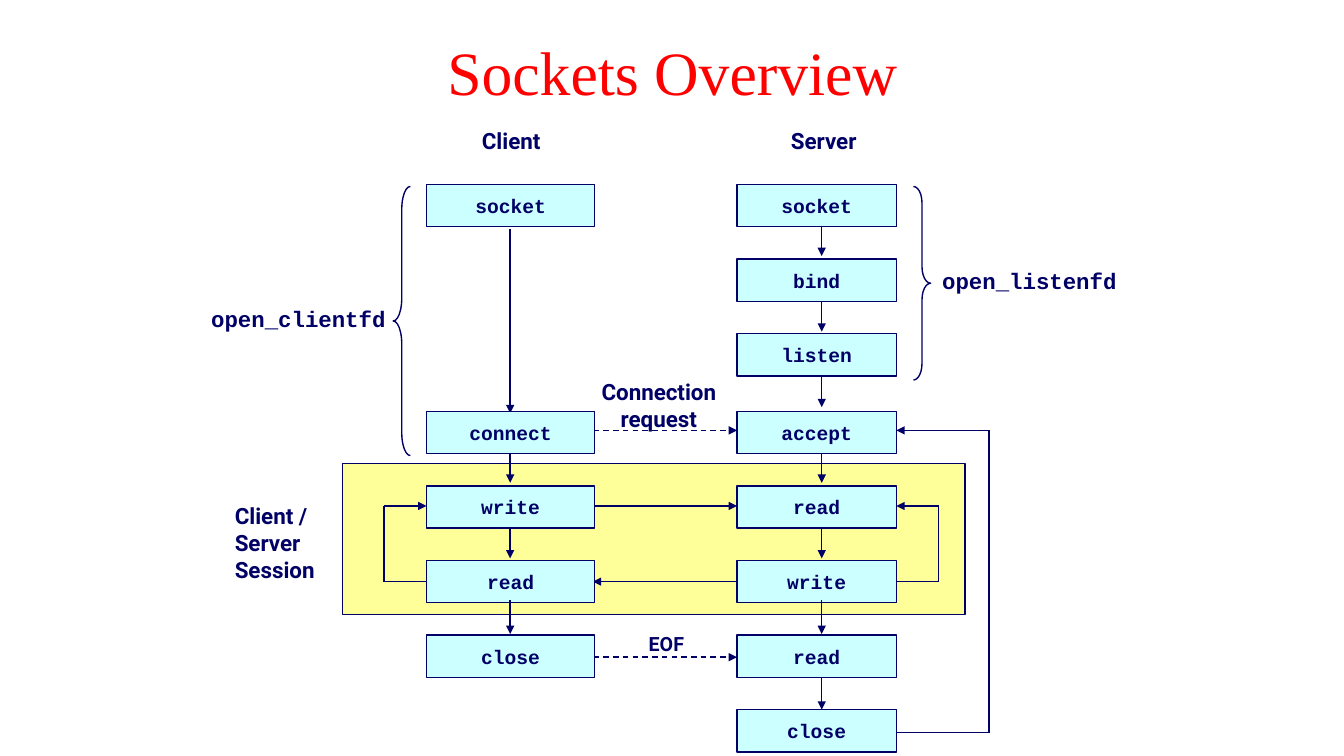
from dataclasses import dataclass

from lxml import etree
from pptx import Presentation
from pptx import util as u
from pptx.dml.color import RGBColor
from pptx.enum import dml, shapes, text
from pptx.oxml.ns import qn

NAVY, CYAN, YELLOW, RED = "000066", "CCFFFF", "FFFF99", "FF0000"
MONO, SANS, SERIF = "Courier New", "Roboto", "Times New Roman"
CLIENT_X, SERVER_X = 5.06, 8.15  # arrow columns
ROW_TOPS = [1.83 + 0.74 * i + (0.03 if i > 2 else 0) for i in range(8)]


@dataclass
class Call:
    name: str
    row: int
    server: bool = False


@dataclass
class Label:
    lines: list[str]
    x: float
    y: float
    w: float
    h: float
    font: str = SANS
    size: int = 16
    centred: bool = True


@dataclass
class Link:
    x1: float
    y1: float
    x2: float
    y2: float
    arrow: bool = True
    dashed: bool = False


def colour(hex_value: str) -> RGBColor:
    return RGBColor.from_string(hex_value)


def write(tf, lines: list[str], *, font: str, size: int, color: str = NAVY,
          bold: bool = True, centred: bool = True, wrap: bool = False) -> None:
    tf.word_wrap = wrap
    tf.vertical_anchor = text.MSO_ANCHOR.MIDDLE
    for i, line in enumerate(lines):
        p = tf.paragraphs[0] if i == 0 else tf.add_paragraph()
        p.alignment = text.PP_ALIGN.CENTER if centred else text.PP_ALIGN.LEFT
        r = p.add_run()
        r.text = line
        r.font.name, r.font.size, r.font.bold = font, u.Pt(size), bold
        r.font.color.rgb = colour(color)


def add_shape(s, kind, x: float, y: float, w: float, h: float, fill: str | None = None):
    sp = s.shapes.add_shape(kind, *map(u.Inches, (x, y, w, h)))
    sp.shadow.inherit = False
    if fill:
        sp.fill.solid()
        sp.fill.fore_color.rgb = colour(fill)
    else:
        sp.fill.background()
    sp.line.color.rgb = colour(NAVY)
    sp.line.width = u.Pt(1)
    return sp


def add_call(s, call: Call) -> None:
    x, w = (7.31, 1.58) if call.server else (4.23, 1.67)
    sp = add_shape(s, shapes.MSO_SHAPE.RECTANGLE, x, ROW_TOPS[call.row], w, 0.42, CYAN)
    write(sp.text_frame, [call.name], font=MONO, size=14)


def add_label(s, label: Label) -> None:
    sp = s.shapes.add_textbox(*map(u.Inches, (label.x, label.y, label.w, label.h)))
    write(sp.text_frame, label.lines, font=label.font, size=label.size,
          centred=label.centred, wrap=not label.centred)


def add_link(s, link: Link) -> None:
    ends = map(u.Inches, (link.x1, link.y1, link.x2, link.y2))
    sp = s.shapes.add_connector(shapes.MSO_CONNECTOR.STRAIGHT, *ends)
    sp.line.color.rgb = colour(NAVY)
    sp.line.width = u.Pt(1)
    if link.dashed:
        sp.line.dash_style = dml.MSO_LINE.DASH
    if link.arrow:
        etree.SubElement(sp.line._get_or_add_ln(), qn("a:tailEnd"), type="triangle")
    etree.SubElement(sp._element.spPr, qn("a:effectLst"))


def step(x: float, i: int) -> Link:
    """Short downward arrow leaving row i."""
    y = 2.2 + 0.75 * i
    return Link(x, y, x, y + 0.34)


def loop(x_box: float, x_side: float, y_from: float, y_to: float) -> list[Link]:
    """Three-part path from one box side back up to another."""
    return [Link(x_box, y_from, x_side, y_from, arrow=False),
            Link(x_side, y_from, x_side, y_to, arrow=False),
            Link(x_side, y_to, x_box, y_to)]


LINKS = [
    *loop(8.89, 9.31, 5.77, 5.02),
    *loop(4.23, 3.81, 5.77, 5.02),
    *loop(8.89, 9.81, 7.27, 4.27),
    Link(CLIENT_X, 2.27, CLIENT_X, 4.1),
    *[step(CLIENT_X, i) for i in (3, 4)],
    *[step(SERVER_X, i) for i in (0, 1, 2, 3, 4, 6)],
    Link(5.9, 5.02, 7.31, 5.02),
    Link(7.34, 5.77, 5.88, 5.77),
    *[Link(5.31, y, 7.31, y, dashed=True) for y in (4.27, 6.52)],
]
SESSION_EXITS = [step(x, 5) for x in (CLIENT_X, SERVER_X)]
SERVER_CALLS = ["socket", "bind", "listen", "accept", "read", "write", "read", "close"]
CLIENT_CALLS = {0: "socket", 3: "connect", 4: "write", 5: "read", 6: "close"}
CALLS = [Call(name, row, server=True) for row, name in enumerate(SERVER_CALLS)]
CALLS += [Call(name, row) for row, name in CLIENT_CALLS.items()]
LABELS = [
    Label(["Client"], 4.66, 1.21, 0.82, 0.37),
    Label(["Server"], 7.72, 1.21, 0.9, 0.37),
    Label(["Client / Server", "Session"], 2.23, 4.93, 1.08, 0.91, centred=False),
    Label(["Connection", "request"], 5.82, 3.7, 1.43, 0.64),
    Label(["EOF"], 6.31, 6.22, 0.6, 0.34, size=14),
    Label(["open_listenfd"], 9.23, 2.6, 1.96, 0.37, font=MONO),
    Label(["open_clientfd"], 1.98, 2.98, 1.96, 0.37, font=MONO),
]


def main() -> None:
    prs = Presentation()
    prs.slide_width, prs.slide_height = u.Inches(13.33), u.Inches(7.5)
    s = prs.slides.add_slide(prs.slide_layouts[5])

    # Title
    title = s.shapes.title
    title.left, title.top, title.width, title.height = map(u.Inches, (2.17, 0.08, 9, 1.25))
    write(title.text_frame, ["Sockets Overview"], font=SERIF, size=44, color=RED,
          bold=False, wrap=True)

    # Session area, then the flow on top of it
    add_shape(s, shapes.MSO_SHAPE.RECTANGLE, 3.4, 4.6, 6.17, 1.5, YELLOW)
    for link in LINKS:
        add_link(s, link)
    for call in CALLS:
        add_call(s, call)
    for link in SESSION_EXITS:
        add_link(s, link)

    # Braces around the setup calls
    for kind, x, h, curve in ((shapes.MSO_SHAPE.RIGHT_BRACE, 9.06, 1.92, 0.96),
                              (shapes.MSO_SHAPE.LEFT_BRACE, 3.9, 2.67, 1.33)):
        brace = add_shape(s, kind, x, 1.85, 0.17, h)
        brace.adjustments[0] = curve

    for label in LABELS:
        add_label(s, label)
    prs.save("out.pptx")


if __name__ == "__main__":
    main()
